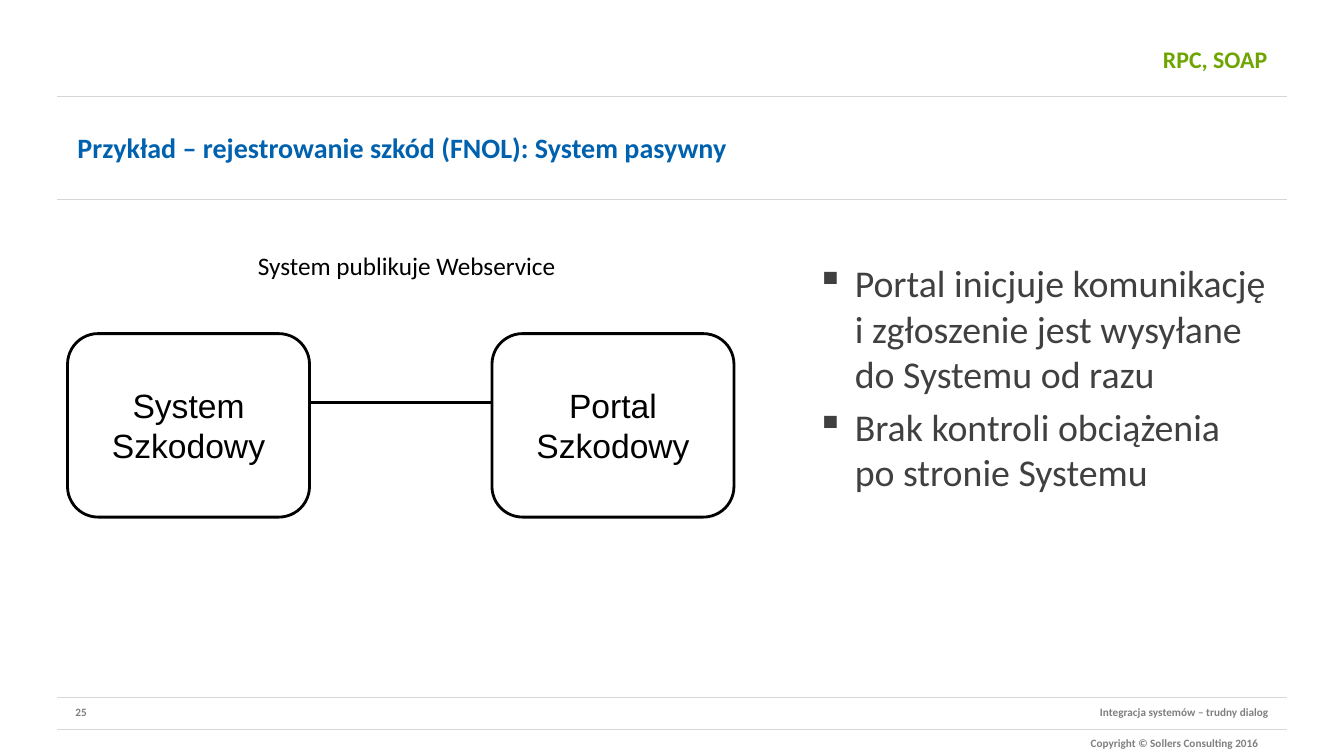
from pptx import Presentation
from pptx.dml.color import RGBColor
from pptx.enum import shapes, text
from pptx.oxml import ns, xmlchemy
from pptx.util import Inches, Pt

HUES = {"green": "6EA500", "blue": "0062AE", "dark": "404040",
        "gray": "7F7F7F", "rule": "D7D7D7", "black": "000000"}
LEFT, RIGHT = 0.57, 12.76
ALIGN, ANCHOR = text.PP_ALIGN, text.MSO_ANCHOR


def color(name):
    return RGBColor.from_string(HUES[name])


def place(shape, box):
    shape.left, shape.top, shape.width, shape.height = map(Inches, box)


def bullet(para, sign, indent):
    props = para._p.get_or_add_pPr()
    props.set("marL", str(Inches(indent)))
    props.set("indent", str(-Inches(indent)))
    mark = xmlchemy.OxmlElement("a:buChar")
    mark.set("char", sign)
    props.append(mark)


def write(shape, *lines, size=18, hue="black", font="Calibri", bold=False,
          align=ALIGN.LEFT, anchor=ANCHOR.TOP, wrap=True, sign=None, gap=0):
    frame = shape.text_frame
    frame.word_wrap = wrap
    frame.auto_size = text.MSO_AUTO_SIZE.NONE
    frame.vertical_anchor = anchor
    for i, line in enumerate(lines):
        para = frame.add_paragraph() if i else frame.paragraphs[0]
        run = para.add_run()
        run.text = line
        para.alignment = align
        para.space_before = Pt(gap if i else 0)
        if sign:
            bullet(para, sign, 0.38)
        run.font.name, run.font.size, run.font.bold = font, Pt(size), bold
        run.font.color.rgb = color(hue)


def label(slide, box, *lines, **style):
    shape = slide.shapes.add_textbox(*map(Inches, box))
    write(shape, *lines, **style)


def rule(slide, x1, x2, y, hue="rule", width=1):
    line = slide.shapes.add_connector(
        shapes.MSO_CONNECTOR.STRAIGHT, *map(Inches, (x1, y, x2, y)))
    line.line.color.rgb = color(hue)
    line.line.width = Pt(width)
    props = line._element.find(ns.qn("p:spPr"))
    props.append(xmlchemy.OxmlElement("a:effectLst"))


def node(slide, box, name):
    shape = slide.shapes.add_shape(
        shapes.MSO_SHAPE.ROUNDED_RECTANGLE, *map(Inches, box))
    shape.shadow.inherit = False
    shape.fill.background()
    shape.line.color.rgb = color("black")
    shape.line.width = Pt(2)
    write(shape, name, size=24, font="Arial",
          align=ALIGN.CENTER, anchor=ANCHOR.MIDDLE)


def main():
    deck = Presentation()
    deck.slide_width, deck.slide_height = Inches(13.33), Inches(7.5)
    slide = deck.slides.add_slide(deck.slide_layouts[5])

    # Rules and footer
    for y in (0.96, 1.98, 6.92, 7.24):
        rule(slide, LEFT, RIGHT, y)
    small = dict(size=8, hue="gray", bold=True)
    label(slide, (0.65, 6.95, 3.18, 0.24), "25", **small)
    label(slide, (5.69, 6.95, 6.99, 0.24),
          "Integracja systemów – trudny dialog", align=ALIGN.RIGHT, **small)
    label(slide, (5.59, 7.26, 6.99, 0.24),
          "Copyright © Sollers Consulting 2016", align=ALIGN.RIGHT, **small)

    # Title and subtitle
    title = slide.shapes.title
    place(title, (3.19, 0.21, 9.48, 0.76))
    write(title, "RPC, SOAP", size=17, hue="green", bold=True,
          align=ALIGN.RIGHT, anchor=ANCHOR.MIDDLE)
    label(slide, (0.67, 0.99, 11.91, 0.95),
          "Przykład – rejestrowanie szkód (FNOL): System pasywny",
          size=20, hue="blue", bold=True, anchor=ANCHOR.MIDDLE)

    # Diagram: two linked systems
    wide, top = 2.4, 3.31
    first, second = 0.67, 4.88
    for x, name in ((first, "System Szkodowy"), (second, "Portal Szkodowy")):
        node(slide, (x, top, wide, 1.82), name)
    rule(slide, first + wide, second, 3.99, "black", 2)
    label(slide, (2.46, 2.43, 3.18, 0.4), "System publikuje Webservice",
          wrap=False)

    # Remarks
    label(slide, (8, 2.53, 4.67, 3.76),
          "Portal inicjuje komunikację i zgłoszenie jest wysyłane "
          "do Systemu od razu",
          "Brak kontroli obciążenia po stronie Systemu",
          size=27, hue="dark", sign="▪", gap=5.4)

    deck.save("out.pptx")


if __name__ == "__main__":
    main()
